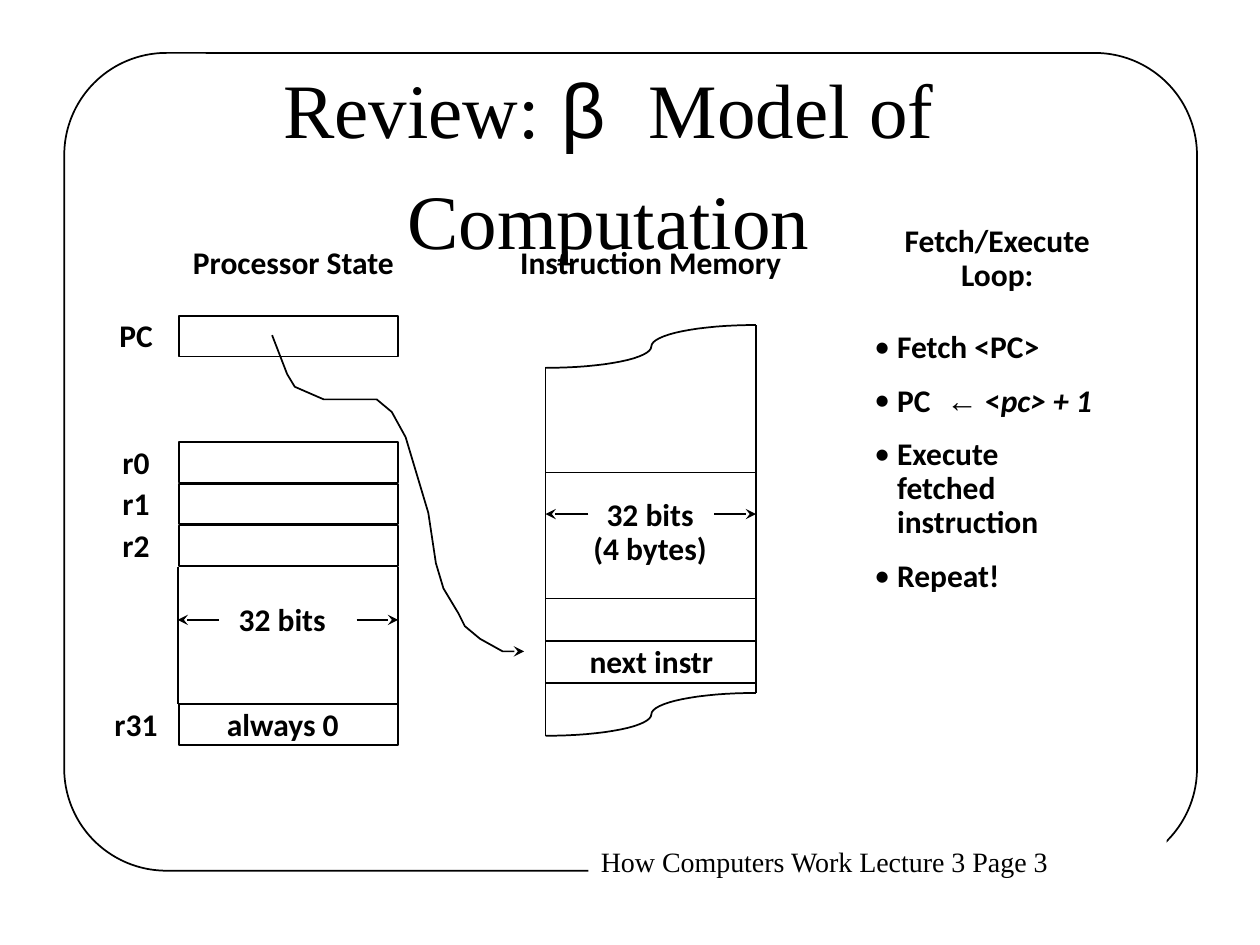
from math import cos, pi, sin

from pptx import Presentation
from pptx.dml.color import RGBColor
from pptx.enum.shapes import MSO_CONNECTOR as Connector, MSO_SHAPE as Shape
from pptx.enum.text import MSO_ANCHOR as Anchor, MSO_AUTO_SIZE as AutoSize, PP_ALIGN as Align
from pptx.oxml.ns import qn
from pptx.util import Inches, Pt
from lxml import etree

BLACK, WHITE = "000000", "FFFFFF"


def color(hex_value):
    return RGBColor.from_string(hex_value)


def add_label(text, left, top, width, height=0.37):
    """Add a bold centred label, one paragraph per line of text."""
    frame = slide.shapes.add_textbox(
        Inches(left), Inches(top), Inches(width), Inches(height)).text_frame
    frame.word_wrap = False
    frame.text = text
    for paragraph in frame.paragraphs:
        paragraph.alignment = Align.CENTER
        paragraph.line_spacing = 0.9
        paragraph.font.name = "Calibri"
        paragraph.font.size = Pt(18)
        paragraph.font.bold = True
        paragraph.font.color.rgb = color(BLACK)


presentation = Presentation()
presentation.slide_width, presentation.slide_height = Inches(10), Inches(7.5)
slide = presentation.slides.add_slide(presentation.slide_layouts[1])
shapes = slide.shapes
outlined = []  # everything drawn with a thin black line
arrows = []  # lines that end in an arrowhead

# Page frame
frame_shape = shapes.add_shape(
    Shape.ROUNDED_RECTANGLE, Inches(0.51), Inches(0.42), Inches(8.99), Inches(6.49))
frame_shape.adjustments[0] = 0.125
frame_shape.fill.background()
outlined.append(frame_shape)

# Footer, covering part of the frame
footer = shapes.add_shape(
    Shape.RECTANGLE, Inches(4.67), Inches(6.65), Inches(4.59), Inches(0.37))
footer.shadow.inherit = False
footer.fill.solid()
footer.fill.fore_color.rgb = color(WHITE)
footer.line.fill.background()
footer.text_frame.word_wrap = False
footer.text_frame.vertical_anchor = Anchor.TOP
paragraph = footer.text_frame.paragraphs[0]
paragraph.text = "How Computers Work Lecture 3 Page 3"
paragraph.alignment = Align.LEFT
paragraph.font.name = "Times New Roman"
paragraph.font.size = Pt(16)
paragraph.font.color.rgb = color(BLACK)

# Title
title = shapes.title
title.left, title.top, title.width, title.height = map(Inches, (0.83, 0.65, 8, 1.15))
title.text_frame.auto_size = AutoSize.NONE
title.text_frame.vertical_anchor = Anchor.MIDDLE
paragraph = title.text_frame.paragraphs[0]
paragraph.alignment = Align.CENTER
paragraph.line_spacing = 1.2
paragraph.font.size = Pt(44)
paragraph.font.color.rgb = color(BLACK)
for text, font_name in (("Review:", "Times New Roman"), (" β  ", "Arial"),
                        ("Model of Computation", "Times New Roman")):
    run = paragraph.add_run()
    run.text = text
    run.font.name = font_name

# Registers
for top in (2.51, 3.51, 3.84, 4.17, 5.59):
    register = shapes.add_shape(
        Shape.RECTANGLE, Inches(1.42), Inches(top), Inches(1.74), Inches(0.32))
    register.fill.solid()
    register.fill.fore_color.rgb = color(WHITE)
    outlined.append(register)

# Straight lines: register sides, memory sides, memory rows
segments = [(x, 4.5, x, 5.59) for x in (1.41, 3.16)]
segments += [(4.33, 2.91, 4.33, 5.84), (6, 2.58, 6, 5.5)]
segments += [(4.33, y, 6, y) for y in (3.75, 4.75, 5.09, 5.42)]
# Width arrows
width_arrows = [(1.74, 4.92, 1.41, 4.92), (2.83, 4.92, 3.16, 4.92),
                (4.67, 4.08, 4.33, 4.08), (5.67, 4.08, 6, 4.08)]
for segment in segments + width_arrows:
    line = shapes.add_connector(Connector.STRAIGHT, *map(Inches, segment))
    outlined.append(line)
    if segment in width_arrows:
        arrows.append(line)

# Torn memory edges (two quarter ellipses each) and the path from PC to memory
angles = [step * pi / 32 for step in range(17)]
curves = []
for top in (2.58, 5.5):
    curves.append([(4.33 + 0.84 * sin(a), top + 0.17 + 0.17 * cos(a)) for a in angles]
                  + [(6 - 0.83 * cos(a), top + 0.17 - 0.17 * sin(a)) for a in angles])
pointer_points = [
    (2.16, 2.66), (2.28, 2.97), (2.34, 3.07), (2.57, 3.17), (2.99, 3.17), (3.11, 3.27),
    (3.22, 3.47), (3.4, 4.07), (3.46, 4.47), (3.52, 4.67), (3.64, 4.87), (3.69, 4.97),
    (3.81, 5.07), (3.99, 5.17), (4.16, 5.17)]
for points in curves + [pointer_points]:
    corners = [(Inches(x), Inches(y)) for x, y in points]
    builder = shapes.build_freeform(*corners[0])
    builder.add_line_segments(corners[1:], close=False)
    curve = builder.convert_to_shape()
    curve.fill.background()
    outlined.append(curve)
arrows.append(curve)

# Line style, no shadows, arrowheads
for shape in outlined:
    shape.line.color.rgb = color(BLACK)
    shape.line.width = Pt(1)
    etree.SubElement(shape.element.spPr, qn("a:effectLst"))
for shape in arrows:
    etree.SubElement(shape.line._get_or_add_ln(), qn("a:tailEnd"), type="stealth")

# Labels
for label in (
    ("Processor State", 1.26, 1.91, 2.14),
    ("Instruction Memory", 3.81, 1.91, 2.71),
    ("Fetch/Execute\nLoop:", 6.93, 1.74, 1.97, 0.64),
    ("PC", 0.82, 2.49, 0.52),
    ("r0", 0.85, 3.5, 0.46),
    ("r1", 0.85, 3.83, 0.46),
    ("r2", 0.85, 4.16, 0.46),
    ("r31", 0.78, 5.58, 0.6),
    ("32 bits", 1.73, 4.75, 1.02),
    ("always 0", 1.61, 5.58, 1.27),
    ("32 bits\n(4 bytes)", 4.53, 3.91, 1.26, 0.64),
    ("next instr", 4.46, 5.08, 1.42),
):
    add_label(*label)

# Fetch/execute steps: runs of (text, font, italic)
steps = (
    [("Fetch <PC>", "Calibri", False)],
    [("PC ", "Calibri", False), (" ←", "Arial", False),
     (" <", "Calibri", False), ("pc> + 1", "Calibri", True)],
    [("Execute fetched instruction", "Calibri", False)],
    [("Repeat!", "Calibri", False)],
)
body = slide.placeholders[1]
body.left, body.top, body.width, body.height = map(Inches, (6.84, 2.58, 2.0, 1.92))
body.text_frame.auto_size = AutoSize.NONE
for index, step in enumerate(steps):
    paragraph = body.text_frame.paragraphs[0] if index == 0 else body.text_frame.add_paragraph()
    paragraph.line_spacing = 0.9
    paragraph.space_before = Pt(11.2)
    paragraph.font.size = Pt(18)
    paragraph.font.bold = True
    paragraph.font.color.rgb = color(BLACK)
    properties = paragraph._p.get_or_add_pPr()
    properties.set("marL", str(Inches(0.18)))
    properties.set("indent", str(-Inches(0.18)))
    bullet_font = etree.Element(qn("a:buFont"), typeface="Calibri")
    bullet = etree.Element(qn("a:buChar"), char="•")
    position = properties.index(properties.find(qn("a:defRPr")))
    properties[position:position] = [bullet_font, bullet]
    for text, font_name, italic in step:
        run = paragraph.add_run()
        run.text = text
        run.font.name = font_name
        run.font.italic = italic

presentation.save("out.pptx")
